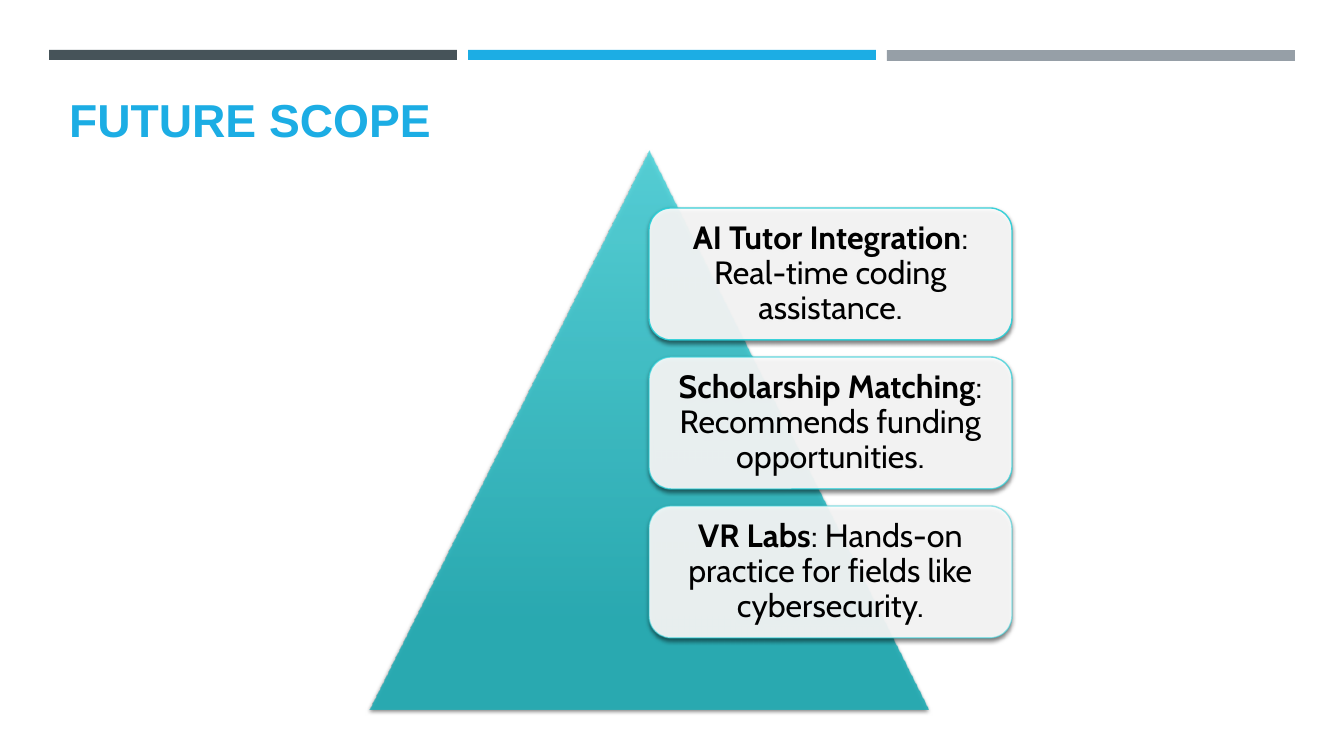
from lxml.etree import SubElement
from pptx import Presentation
from pptx.dml.color import RGBColor
from pptx.enum.shapes import MSO_SHAPE
from pptx.enum.text import MSO_ANCHOR, MSO_AUTO_SIZE, PP_ALIGN
from pptx.oxml.ns import qn
from pptx.util import Pt

SCALE = 914400 / 100.8
SLATE = RGBColor(0x46, 0x53, 0x59)
BLUE = RGBColor(0x1C, 0xAD, 0xE4)
GREY = RGBColor(0x96, 0x9F, 0xA7)
AQUA = RGBColor(0x51, 0xD5, 0xDC)
TEAL = RGBColor(0x21, 0xAD, 0xB5)
EDGE = RGBColor(0x27, 0xCE, 0xD7)
WHITE = RGBColor(0xFF, 0xFF, 0xFF)
BLACK = RGBColor(0x00, 0x00, 0x00)

BARS = [(SLATE, 10), (BLUE, 10), (GREY, 11)]
CARDS = [
    ("AI Tutor Integration", ": Real-time coding assistance.", 90),
    ("Scholarship Matching", ": Recommends funding opportunities.", 70),
    ("VR Labs", ": Hands-on practice for fields like cybersecurity.", 50),
]


def px(count):
    return round(count * SCALE)


def fade(node, percent):
    for color in node.iter(qn("a:srgbClr")):
        SubElement(color, qn("a:alpha"), val=str(percent * 1000))


class Deck:
    head = "Arial"
    body = "Cabin"

    def __init__(self, width, height):
        self.file = Presentation()
        self.file.slide_width = px(width)
        self.file.slide_height = px(height)
        self.slide = self.file.slides.add_slide(self.file.slide_layouts[5])

    def shape(self, kind, *box):
        shape = self.slide.shapes.add_shape(kind, *map(px, box))
        shape.shadow.inherit = False
        shape.line.fill.background()
        return shape

    def shade(self, shape):
        effects = shape._element.spPr.find(qn("a:effectLst"))
        outer = SubElement(effects, qn("a:outerShdw"), blurRad=str(Pt(3)),
                           dist=str(Pt(2)), dir="5400000", rotWithShape="0")
        color = SubElement(outer, qn("a:srgbClr"), val=str(BLACK))
        SubElement(color, qn("a:alpha"), val="55000")

    def run(self, para, text, font, size, color, bold):
        run = para.add_run()
        run.text = text
        run.font.name = font
        run.font.size = Pt(size)
        run.font.color.rgb = color
        run.font.bold = bold

    def title(self, text, *box):
        title = self.slide.shapes.title
        title.left, title.top, title.width, title.height = map(px, box)
        frame = title.text_frame
        frame.auto_size = MSO_AUTO_SIZE.NONE
        frame.vertical_anchor = MSO_ANCHOR.BOTTOM
        para = frame.paragraphs[0]
        para.alignment = PP_ALIGN.LEFT
        para.line_spacing = 0.8
        self.run(para, text, self.head, 33, BLUE, True)

    def bar(self, color, *box):
        bar = self.shape(MSO_SHAPE.RECTANGLE, *box)
        bar.fill.solid()
        bar.fill.fore_color.rgb = color

    def peak(self, *box):
        peak = self.shape(MSO_SHAPE.ISOSCELES_TRIANGLE, *box)
        peak.fill.gradient()
        peak.fill.gradient_angle = 270
        stops = zip(peak.fill.gradient_stops, (AQUA, TEAL), (0, 0.84))
        for stop, color, place in stops:
            stop.color.rgb = color
            stop.position = place
        fade(peak._element.spPr.find(qn("a:gradFill")), 90)
        self.shade(peak)

    def card(self, name, note, edge, *box):
        card = self.shape(MSO_SHAPE.ROUNDED_RECTANGLE, *box)
        card.fill.solid()
        card.fill.fore_color.rgb = WHITE
        card.line.color.rgb = EDGE
        card.line.width = Pt(1)
        props = card._element.spPr
        fade(props.find(qn("a:solidFill")), 90)
        fade(props.find(qn("a:ln")), edge)
        self.shade(card)
        frame = card.text_frame
        frame.word_wrap = True
        frame.vertical_anchor = MSO_ANCHOR.MIDDLE
        frame.margin_left = frame.margin_right = px(10)
        frame.margin_top = frame.margin_bottom = px(10)
        para = frame.paragraphs[0]
        para.alignment = PP_ALIGN.CENTER
        para.line_spacing = 0.9
        self.run(para, name, self.body, 23, BLACK, True)
        self.run(para, note, self.body, 23, BLACK, False)


def main():
    deck = Deck(1344, 756)
    for index, (color, height) in enumerate(BARS):
        deck.bar(color, 49 + 419 * index, 50, 408, height)
    deck.title("FUTURE SCOPE", 59, 93, 1216, 58)
    deck.peak(370, 151, 558, 558)
    for index, (name, note, edge) in enumerate(CARDS):
        deck.card(name, note, edge, 649, 208 + 149 * index, 363, 132)
    deck.file.save("out.pptx")


if __name__ == "__main__":
    main()
